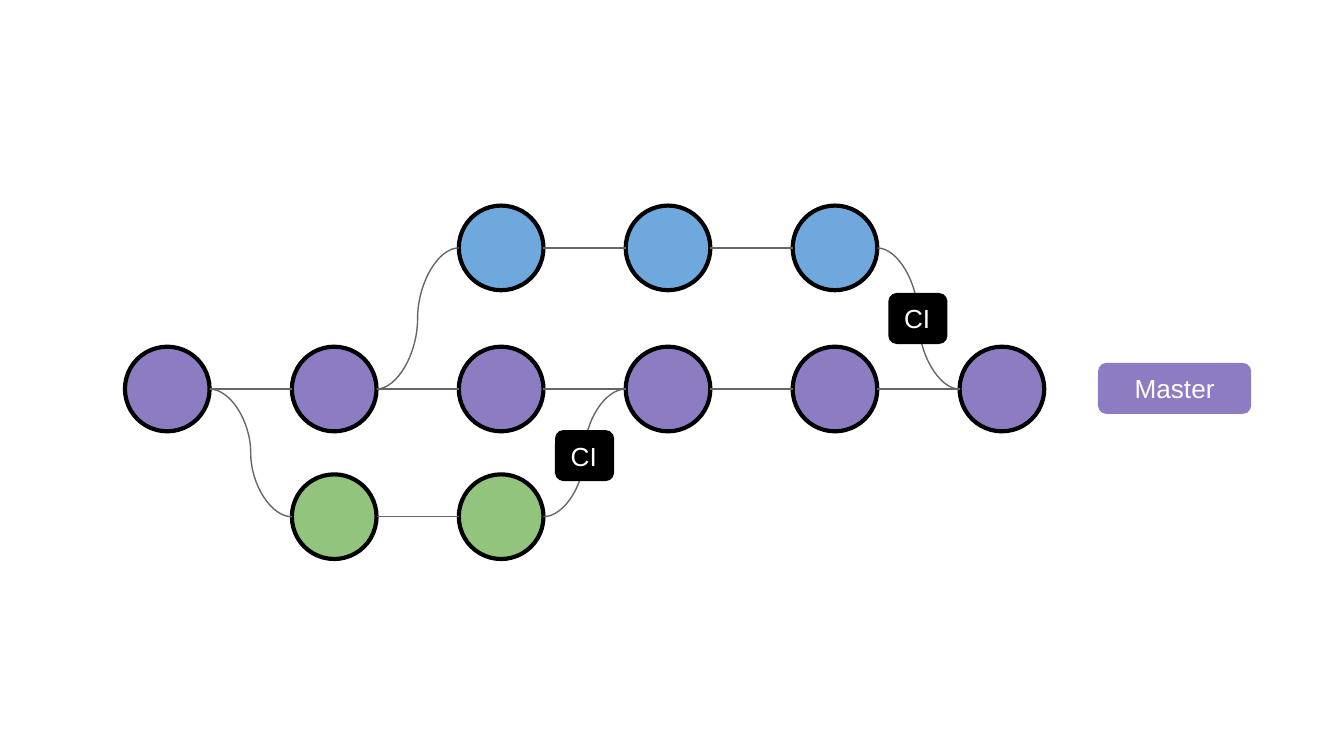
from lxml import etree
from pptx import Presentation
from pptx import util as u
from pptx.dml.color import RGBColor
from pptx.enum import shapes, text
from pptx.oxml.ns import qn

PURPLE = RGBColor(0x8E, 0x7C, 0xC3)
BLUE = RGBColor(0x6F, 0xA8, 0xDC)
GREEN = RGBColor(0x93, 0xC4, 0x7D)
BLACK = RGBColor(0, 0, 0)
WHITE = RGBColor(0xFF, 0xFF, 0xFF)
GRAY = RGBColor(0x66, 0x66, 0x66)

DIAMETER = 0.63
PITCH = (7.14 - 0.93) / 5
LABEL_HEIGHT = 0.38


def add_link(slide, source, target, kind=shapes.MSO_CONNECTOR.STRAIGHT):
    """Join the right side of one commit to the left side of another."""
    connector = slide.shapes.add_connector(
        kind,
        source.left + source.width, source.top + source.height // 2,
        target.left, target.top + target.height // 2)
    connector.line.color.rgb = GRAY
    connector.line.width = u.Pt(0.75)
    etree.SubElement(connector._element.spPr, qn("a:effectLst"))


def add_branch(slide, left, top, count, color):
    """Draw a row of linked commits and return them."""
    commits = []
    for index in range(count):
        commit = slide.shapes.add_shape(
            shapes.MSO_SHAPE.OVAL,
            u.Inches(left + index * PITCH), u.Inches(top),
            u.Inches(DIAMETER), u.Inches(DIAMETER))
        commit.shadow.inherit = False
        commit.fill.solid()
        commit.fill.fore_color.rgb = color
        commit.line.color.rgb = BLACK
        commit.line.width = u.Pt(2.25)
        commits.append(commit)
    for source, target in zip(commits, commits[1:]):
        add_link(slide, source, target)
    return commits


def add_label(slide, left, top, width, caption, color, alignment):
    """Draw a rounded tag with its caption."""
    label = slide.shapes.add_shape(
        shapes.MSO_SHAPE.ROUNDED_RECTANGLE,
        u.Inches(left), u.Inches(top), u.Inches(width), u.Inches(LABEL_HEIGHT))
    label.shadow.inherit = False
    label.fill.solid()
    label.fill.fore_color.rgb = color
    label.line.fill.background()
    frame = label.text_frame
    frame.word_wrap = True
    frame.vertical_anchor = text.MSO_ANCHOR.MIDDLE
    frame.margin_left = frame.margin_right = u.Inches(0.1)
    frame.margin_top = frame.margin_bottom = u.Inches(0.1)
    paragraph = frame.paragraphs[0]
    paragraph.text = caption
    paragraph.alignment = alignment
    paragraph.font.name = "Arial"
    paragraph.font.size = u.Pt(14)
    paragraph.font.color.rgb = WHITE


def add_branch_diagram(slide, left, top):
    """Draw the whole diagram from the top left corner of its box."""
    # Branches
    master = add_branch(slide, left, top + 1.05, 6, PURPLE)
    upper = add_branch(slide, left + 2 * PITCH, top, 3, BLUE)
    lower = add_branch(slide, left + PITCH, top + 2, 2, GREEN)

    # Forks and merges
    for source, target in (
        (master[1], upper[0]),
        (upper[-1], master[5]),
        (master[0], lower[0]),
        (lower[-1], master[3]),
    ):
        add_link(slide, source, target, shapes.MSO_CONNECTOR.CURVE)

    # Labels
    for x, y in ((5.68, 0.65), (3.2, 1.67)):
        add_label(slide, left + x, top + y, 0.44, "CI", BLACK,
                  text.PP_ALIGN.LEFT)
    add_label(slide, left + 7.24, top + 1.17, 1.14, "Master", PURPLE,
              text.PP_ALIGN.CENTER)


def main():
    presentation = Presentation()
    # Widescreen, 16:9
    presentation.slide_width = u.Inches(10)
    presentation.slide_height = u.Inches(10 * 9 / 16)
    slide = presentation.slides.add_slide(presentation.slide_layouts[6])
    add_branch_diagram(slide, 0.93, 1.53)
    presentation.save("out.pptx")


if __name__ == "__main__":
    main()
